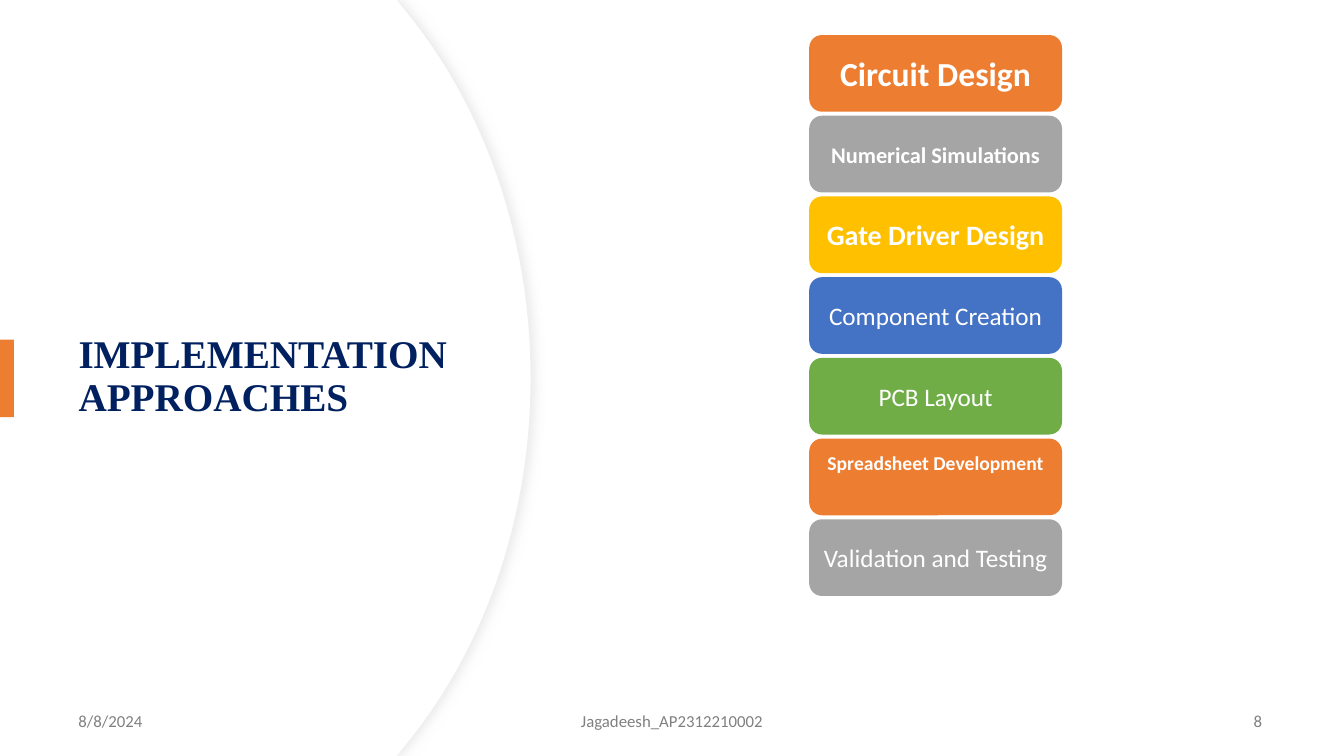
from lxml import etree
from pptx import Presentation
from pptx.dml.color import RGBColor
from pptx.enum.shapes import MSO_SHAPE
from pptx.enum.text import MSO_ANCHOR, PP_ALIGN
from pptx.oxml.ns import qn
from pptx.util import Pt

RECTANGLE = MSO_SHAPE.RECTANGLE
ROUNDED = MSO_SHAPE.ROUNDED_RECTANGLE
MIDDLE = MSO_ANCHOR.MIDDLE
LEFT, CENTER, RIGHT = PP_ALIGN.LEFT, PP_ALIGN.CENTER, PP_ALIGN.RIGHT

WIDTH, HEIGHT = 960, 540
ORANGE, GRAY, GOLD = "ED7D31", "A5A5A5", "FFC000"
BLUE, GREEN, WHITE = "4472C4", "70AD47", "FFFFFF"
NAVY, FOOTER_GRAY = "002060", "808080"


def rgb(value):
    return RGBColor.from_string(value)


def curve(start, first, second, end, steps=24):
    points = []
    for i in range(1, steps + 1):
        t = i / steps
        weights = ((1 - t) ** 3, 3 * t * (1 - t) ** 2, 3 * t * t * (1 - t), t ** 3)
        points.append(tuple(
            sum(w * p[axis] for w, p in zip(weights, (start, first, second, end)))
            for axis in (0, 1)
        ))
    return points


class SlideBuilder:
    body_font = "Calibri"
    title_font = "Times New Roman"

    def __init__(self, slide):
        self.slide = slide

    def paint(self, shape, fill, line=None):
        shape.shadow.inherit = False
        shape.fill.solid()
        shape.fill.fore_color.rgb = rgb(fill)
        if line:
            shape.line.color.rgb = rgb(line)
            shape.line.width = Pt(0.75)
        else:
            shape.line.fill.background()

    def add_label(self, shape, label, size, color, align, bold=False, font=None):
        frame = shape.text_frame
        frame.word_wrap = True
        frame.vertical_anchor = MIDDLE
        paragraph = frame.paragraphs[0]
        paragraph.alignment = align
        paragraph.line_spacing = 0.9 if font else 1.0
        run = paragraph.add_run()
        run.text = label
        run.font.name = font or self.body_font
        run.font.size = Pt(size)
        run.font.bold = bold
        run.font.color.rgb = rgb(color)

    def text(self, left, top, width, height, *content, **style):
        box = self.slide.shapes.add_textbox(Pt(left), Pt(top), Pt(width), Pt(height))
        self.add_label(box, *content, **style)

    def block(self, kind, left, top, width, height, fill, shapes=None):
        shapes = shapes or self.slide.shapes
        shape = shapes.add_shape(kind, Pt(left), Pt(top), Pt(width), Pt(height))
        self.paint(shape, fill)
        return shape

    def step(self, group, top, label, fill, size, bold, lift):
        shape = self.block(ROUNDED, 578, top, 180.6, 54.8, fill, group.shapes)
        self.add_label(shape, label, size, WHITE, CENTER, bold)
        frame = shape.text_frame
        frame.margin_left = frame.margin_right = Pt(5)
        frame.margin_top = Pt(3)
        frame.margin_bottom = Pt(3 + 2 * lift)

    def panel(self, edge, line=None):
        upper = [(edge - 91, 5.6)] + curve(
            (edge - 91, 5.6), (edge - 34.6, 73.4), (edge, 167), (edge, HEIGHT / 2))
        lower = [(x, HEIGHT - y) for x, y in reversed(upper[:-1])]
        outline = [(283.6, 0)] + upper + lower + [(283.6, HEIGHT), (0, HEIGHT)]
        builder = self.slide.shapes.build_freeform(0, 0)
        builder.add_line_segments([(Pt(x), Pt(y)) for x, y in outline], close=True)
        shape = builder.convert_to_shape()
        self.paint(shape, WHITE, line)
        return shape

    def cast_shadow(self, shape, color, opacity, blur, distance):
        effects = shape._element.spPr.find(qn("a:effectLst"))
        shadow = etree.SubElement(
            effects, qn("a:outerShdw"), blurRad=str(Pt(blur)), dist=str(Pt(distance)),
            dir="0", algn="l", rotWithShape="0")
        tint = etree.SubElement(shadow, qn("a:srgbClr"), val=color)
        etree.SubElement(tint, qn("a:alpha"), val=str(opacity * 1000))


def main():
    deck = Presentation()
    deck.slide_width, deck.slide_height = Pt(WIDTH), Pt(HEIGHT)
    page = SlideBuilder(deck.slides.add_slide(deck.slide_layouts[6]))

    curved_panel = page.panel(379.4, "EFEFEF")
    page.cast_shadow(curved_panel, "D9D9D9", 50, 7, 3)
    page.panel(378.7)
    page.text(49, 91.4, 283.6, 356.4, "IMPLEMENTATION APPROACHES", 28, NAVY, LEFT,
              bold=True, font=page.title_font)
    page.block(RECTANGLE, 0, 242.6, 10, 55.4, ORANGE)

    footers = [
        (49, 216, "8/8/2024", LEFT),
        (318, 324, "Jagadeesh_AP2312210002", CENTER),
        (692.6, 216, "8", RIGHT),
    ]
    for left, width, label, align in footers:
        page.text(left, 500.5, width, 28.8, label, 12, FOOTER_GRAY, align)

    steps = [
        ("Circuit Design", ORANGE, 24, True, 0),
        ("Numerical Simulations", GRAY, 16, True, 0),
        ("Gate Driver Design", GOLD, 20, True, 0),
        ("Component Creation", BLUE, 18, False, 0),
        ("PCB Layout", GREEN, 18, False, 0),
        ("Spreadsheet Development", ORANGE, 14, True, 10.5),
        ("Validation and Testing", GRAY, 18, False, 0),
    ]
    workflow = page.slide.shapes.add_group_shape()
    for i, step in enumerate(steps):
        page.step(workflow, 25 + 57.65 * i, *step)

    deck.save("out.pptx")


if __name__ == "__main__":
    main()
